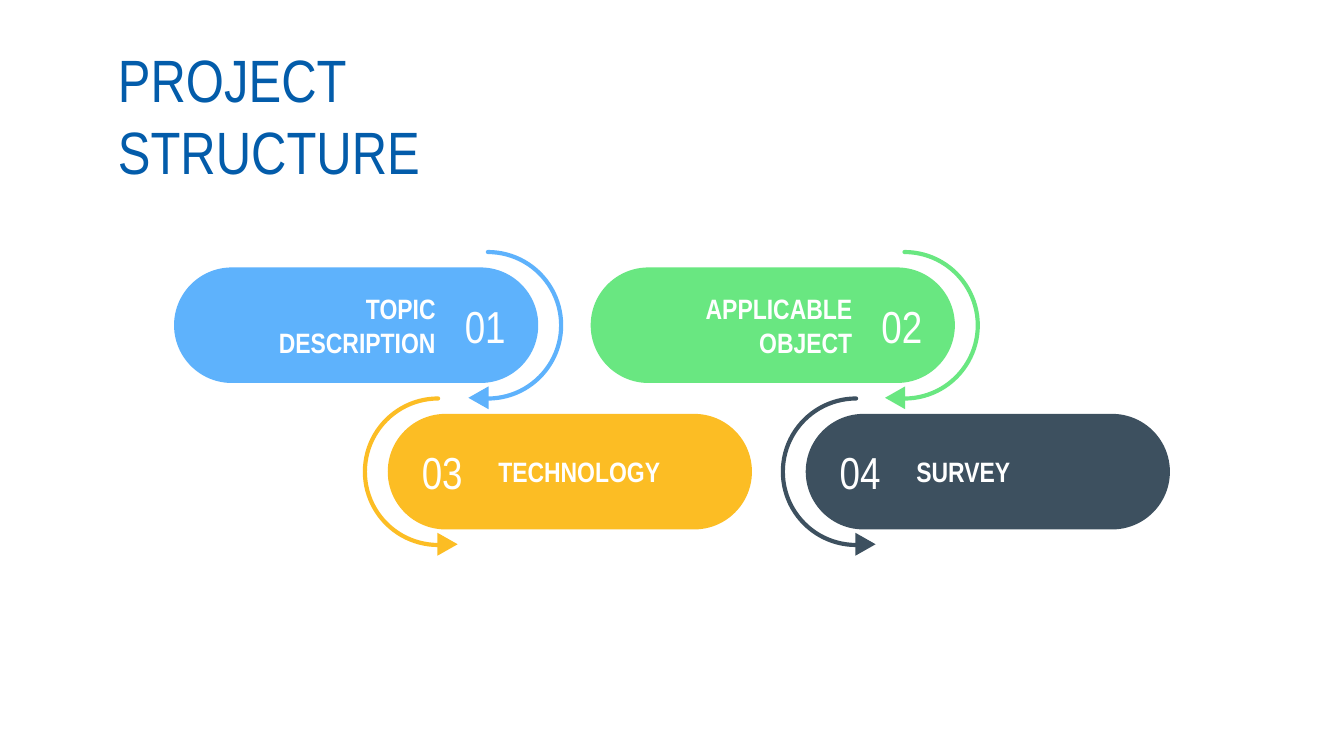
from pptx import Presentation
from pptx import util as u
from pptx.dml.color import RGBColor
from pptx.enum import shapes, text
from pptx.oxml.ns import qn

FONT = "Arial Narrow"
COLORS = {
    "title": "035CAA",
    "white": "FFFFFF",
    "blue": "5EB2FC",
    "green": "69E781",
    "amber": "FCBD24",
    "slate": "3D505F",
}
KIND = shapes.MSO_SHAPE
ALIGN = text.PP_ALIGN

# Label, number, colour, pill centre (x, y), side of the arc (1 right, -1 left)
STEPS = [
    ("TOPIC DESCRIPTION", "01", "blue", 2.65, 2.42, 1),
    ("TECHNOLOGY", "03", "amber", 4.24, 3.51, -1),
    ("SURVEY", "04", "slate", 7.35, 3.51, -1),
    ("APPLICABLE OBJECT", "02", "green", 5.75, 2.42, 1),
]


def rgb(name):
    return RGBColor.from_string(COLORS[name])


def frame(x, y, w, h):
    """Left, top, width and height of a box centred on x, y."""
    return [u.Inches(v) for v in (x - w / 2, y - h / 2, w, h)]


def add_text(slide, box, words, size, color, align=ALIGN.LEFT, bold=False):
    tf = slide.shapes.add_textbox(*box).text_frame
    tf.word_wrap = True
    tf.vertical_anchor = text.MSO_ANCHOR.MIDDLE
    tf.margin_left = tf.margin_right = u.Inches(0.1)
    tf.margin_top = tf.margin_bottom = u.Inches(0.1)
    para = tf.paragraphs[0]
    para.alignment = align
    run = para.add_run()
    run.text = words
    run.font.name = FONT
    run.font.size = u.Pt(size)
    run.font.bold = bold
    run.font.color.rgb = rgb(color)


def add_solid(slide, kind, box, color):
    shape = slide.shapes.add_shape(kind, *box)
    shape.shadow.inherit = False
    shape.fill.solid()
    shape.fill.fore_color.rgb = rgb(color)
    shape.line.fill.background()
    return shape


def add_arc(slide, box, color, side):
    arc = slide.shapes.add_shape(KIND.ARC, *box)
    arc.shadow.inherit = False
    arc.fill.background()
    arc.line.color.rgb = rgb(color)
    arc.line.width = u.Pt(2.25)
    # Angles count in 60000ths of a degree, adjustments in 100000ths
    ends = (270, 90) if side > 0 else (90, 270)
    for i, angle in enumerate(ends):
        arc.adjustments[i] = angle * 0.6
    arc._element.spPr.find(qn("a:ln")).set("cap", "rnd")


def add_step(slide, label, number, color, x, y, side):
    # Pill
    pill = add_solid(slide, KIND.ROUNDED_RECTANGLE,
                     frame(x, y, 2.71, 0.86), color)
    pill.adjustments[0] = 0.5

    # Label and number
    shift = -0.23 if side > 0 else 0.29
    align = ALIGN.RIGHT if side > 0 else ALIGN.LEFT
    add_text(slide, frame(x + shift, y, 1.84, 0.59), label, 15, "white",
             align, True)
    shift = 0.95 if side > 0 else -0.96
    add_text(slide, frame(x + shift, y, 0.52, 0.47), number, 24, "white",
             ALIGN.RIGHT)

    # Half circle with its arrow tip
    add_arc(slide, frame(x + side * 0.98, y, 1.09, 1.09), color, side)
    tip = add_solid(slide, KIND.ISOSCELES_TRIANGLE,
                    frame(x + side * 0.91, y + 0.54, 0.17, 0.15), color)
    tip.rotation = -side * 90 % 360


def main():
    # Widescreen page, 16:9
    deck = Presentation()
    deck.slide_width = u.Inches(10)
    deck.slide_height = u.Inches(10 * 9 / 16)
    slide = deck.slides.add_slide(deck.slide_layouts[6])

    # Title
    box = [u.Inches(v) for v in (0.78, 0.59, 3.83, 0.53)]
    add_text(slide, box, "PROJECT STRUCTURE", 32, "title")

    # Steps
    for step in STEPS:
        add_step(slide, *step)

    deck.save("out.pptx")


if __name__ == "__main__":
    main()
